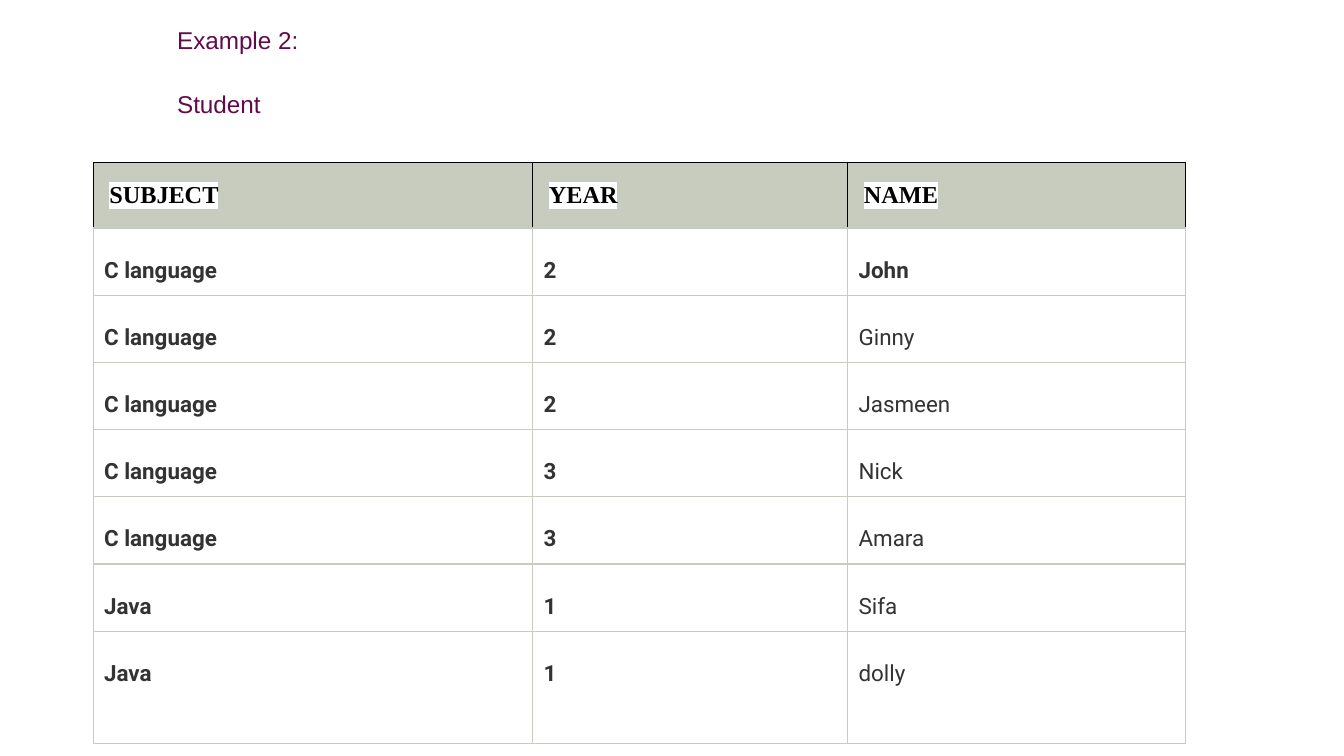
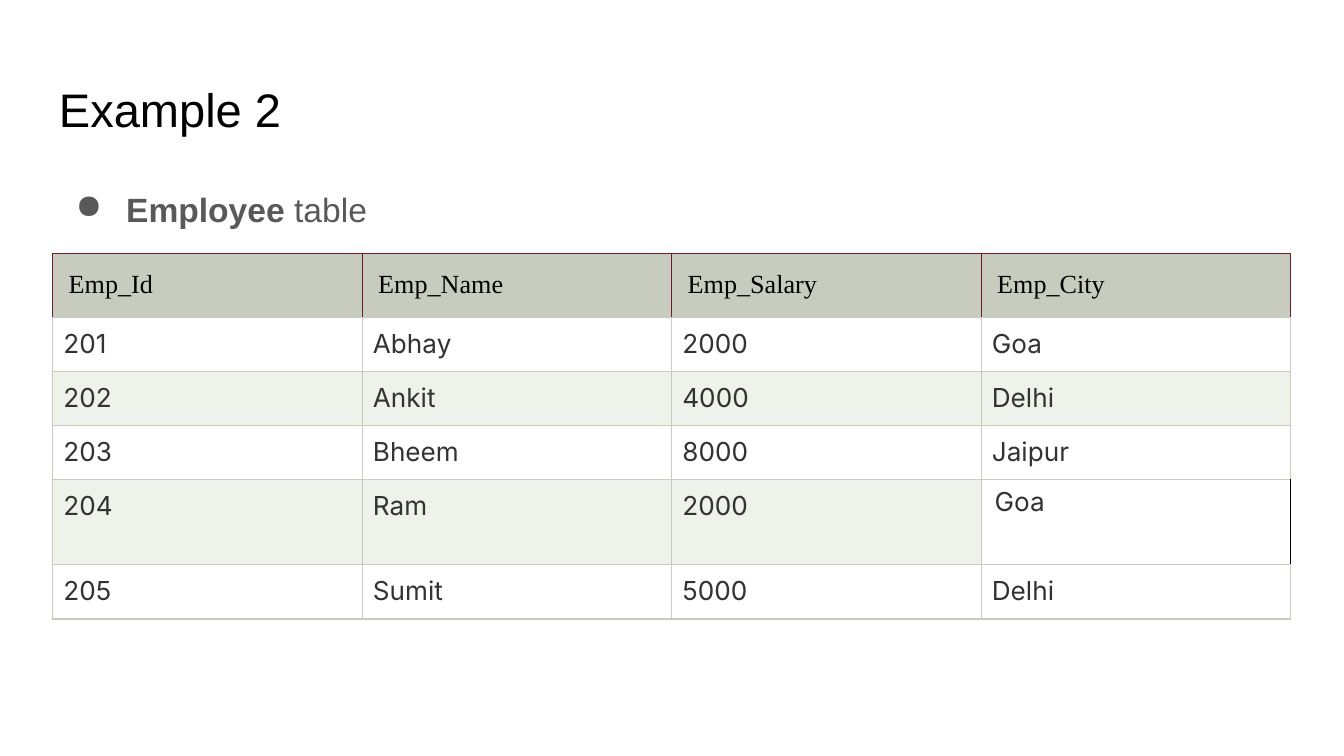
from lxml.etree import SubElement
from pptx import Presentation
from pptx.dml.color import RGBColor
from pptx.enum.text import MSO_ANCHOR, PP_ALIGN
from pptx.oxml.ns import qn
from pptx.util import Pt

COLORS = {
    "white": "FFFFFF",
    "black": "000000",
    "sage": "C7CCBE",
    "band": "EFF1EB",
    "wine": "701B36",
    "plum": "610B4B",
    "body": "333333",
    "bullet": "595959",
}


def add_span(para, text, font, size, color, bold=False, highlight=False):
    span = para.add_run()
    span.text = text
    span.font.name = font
    span.font.size = Pt(size)
    span.font.bold = bold
    span.font.color.rgb = RGBColor.from_string(COLORS[color])
    if highlight:
        mark = SubElement(span.font._element, qn("a:highlight"))
        SubElement(mark, qn("a:srgbClr"), val=COLORS["white"])
        span.font._element.find(qn("a:solidFill")).addnext(mark)


def style_cell(cell, fill, borders, margins):
    cell.margin_left = cell.margin_right = Pt(margins[0])
    cell.margin_top = cell.margin_bottom = Pt(margins[1])
    properties = cell._tc.get_or_add_tcPr()
    for side, color in zip(("L", "R", "T", "B"), borders):
        line = SubElement(properties, qn(f"a:ln{side}"), w=str(Pt(0.75)))
        paint = SubElement(line, qn("a:solidFill"))
        SubElement(paint, qn("a:srgbClr"), val=COLORS[color])
    if fill:
        cell.fill.solid()
        cell.fill.fore_color.rgb = RGBColor.from_string(COLORS[fill])
    else:
        cell.fill.background()


deck = Presentation()
deck.slide_width = Pt(720)
deck.slide_height = Pt(405)

tables = [
    {
        "place": (50, 87),
        "widths": [235.5, 168.75, 180.75],
        "heights": [34] + [36] * 6 + [60],
        "header": ("Times New Roman", 13, "black", True, True),
        "edge": "black",
        "font": ("Roboto", 12, "body"),
        "spacing": (1.15, 1.7),
        "band": "white",
        "rows": [
            ("SUBJECT", "YEAR", "NAME"),
            ("C language", "2", "John"),
            ("C language", "2", "Ginny"),
            ("C language", "2", "Jasmeen"),
            ("C language", "3", "Nick"),
            ("C language", "3", "Amara"),
            ("Java", "1", "Sifa"),
            ("Java", "1", "dolly"),
        ],
    },
    {
        "place": (28.2, 136),
        "widths": [165.8] * 4,
        "heights": [33.5, 29, 29, 29, 45.5, 29],
        "header": ("Times New Roman", 14, "black"),
        "edge": "wine",
        "font": ("Inter", 14, "body"),
        "spacing": (1, 1),
        "band": "band",
        "rows": [
            ("Emp_Id", "Emp_Name", "Emp_Salary", "Emp_City"),
            ("201", "Abhay", "2000", "Goa"),
            ("202", "Ankit", "4000", "Delhi"),
            ("203", "Bheem", "8000", "Jaipur"),
            ("204", "Ram", "2000", "Goa"),
            ("205", "Sumit", "5000", "Delhi"),
        ],
    },
]

text_boxes = [
    [("student", 87.84, 1.44, 324, 87.84)],
    [("title", 24.48, 35.28, 671.04, 45.36), ("employee", 24.48, 90.72, 671.04, 269.28)],
]

for number, (layout, boxes) in enumerate(zip(tables, text_boxes)):
    page = deck.slides.add_slide(deck.slide_layouts[6])

    for role, *place in boxes:
        box = page.shapes.add_textbox(*map(Pt, place))
        frame = box.text_frame
        frame.word_wrap = True
        frame.margin_left = frame.margin_right = Pt(7.2)
        frame.margin_top = frame.margin_bottom = Pt(7.2)
        para = frame.paragraphs[0]

        if role == "title":
            frame.vertical_anchor = MSO_ANCHOR.BOTTOM
            add_span(para, "Example 2", "Arial", 25.2, "black")
        elif role == "employee":
            properties = para._p.get_or_add_pPr()
            properties.set("marL", str(Pt(36)))
            properties.set("indent", str(Pt(-27)))
            paint = SubElement(properties, qn("a:buClr"))
            SubElement(paint, qn("a:srgbClr"), val=COLORS["bullet"])
            SubElement(properties, qn("a:buChar"), char="●")
            para.line_spacing = 1.15
            add_span(para, "Employee", "Arial", 18, "bullet", bold=True)
            add_span(para, " table", "Arial", 18, "bullet")
        else:
            second = frame.add_paragraph()
            second.space_before = Pt(14)
            second.space_after = Pt(4)
            for line, text in ((para, "Example 2:"), (second, "Student")):
                line.alignment = PP_ALIGN.JUSTIFY
                line.line_spacing = 1.3
                add_span(line, text, "Arial", 13, "plum", highlight=True)

    rows, widths, heights = layout["rows"], layout["widths"], layout["heights"]
    size = (sum(widths), sum(heights))
    table = page.shapes.add_table(
        len(rows), len(widths), *map(Pt, layout["place"] + size)
    ).table
    table.first_row = False
    table.horz_banding = False
    for column, width in zip(table.columns, widths):
        column.width = Pt(width)
    for row, height in zip(table.rows, heights):
        row.height = Pt(height)

    for r, texts in enumerate(rows):
        for c, text in enumerate(texts):
            cell = table.cell(r, c)
            para = cell.text_frame.paragraphs[0]
            para.line_spacing = layout["spacing"][r > 0]
            if r == 0:
                edge = layout["edge"]
                style_cell(cell, "sage", (edge, edge, edge, "sage"), (8.64, 8.64))
                add_span(para, text, *layout["header"])
                continue
            bold = number == 0 and (c < 2 or r == 1)
            add_span(para, text, *layout["font"], bold=bold)
            if number == 1 and (r, c) == (4, 3):
                style_cell(cell, None, ("sage", "black", "sage", "sage"), (7.2, 3.6))
            else:
                para.alignment = PP_ALIGN.JUSTIFY
                fill = "white" if r % 2 else layout["band"]
                style_cell(cell, fill, ["sage"] * 4, (5.76, 5.76))

deck.save("out.pptx")
